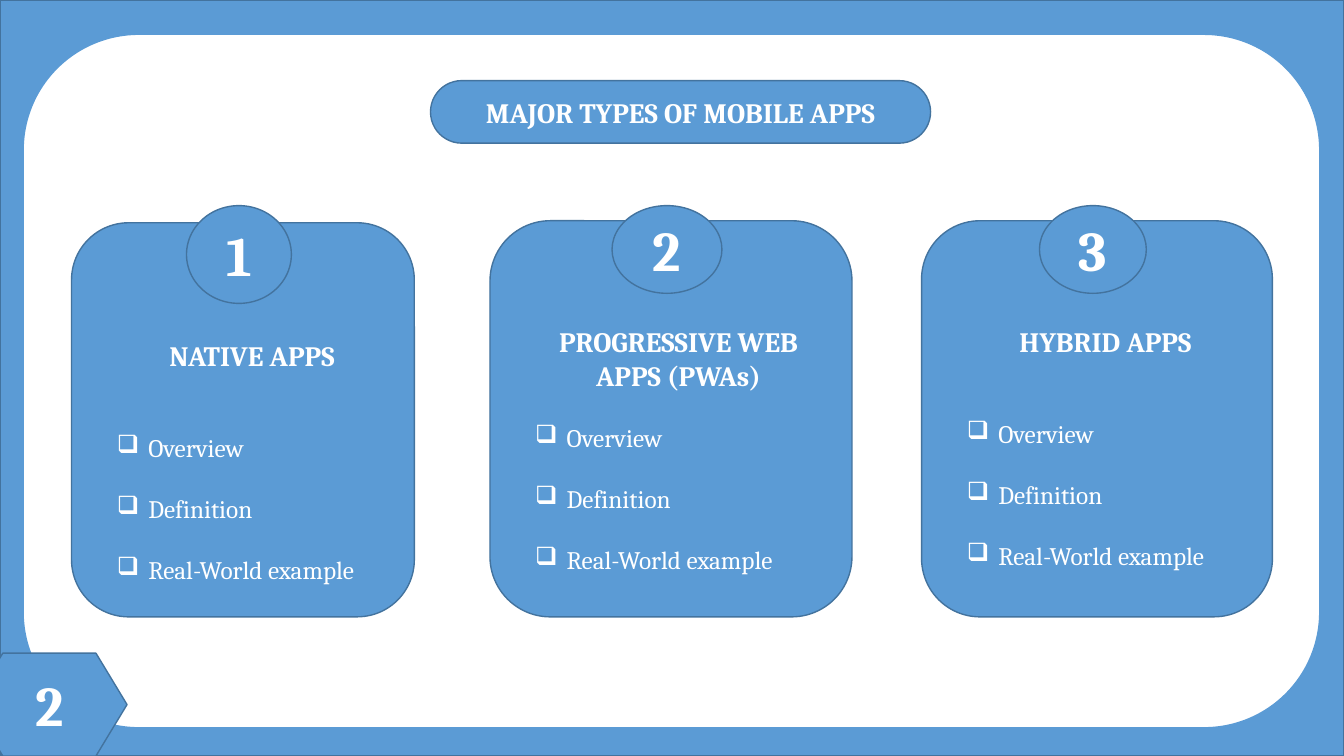
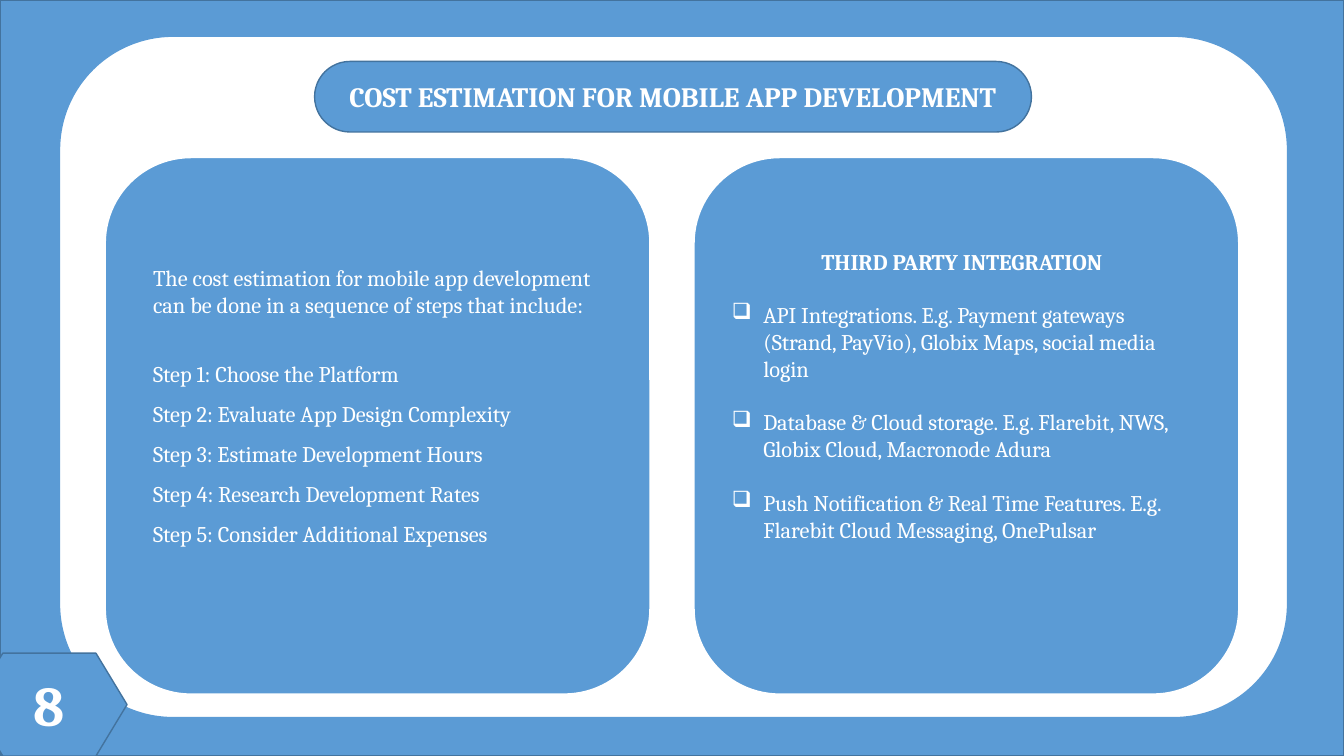
from pptx import Presentation
from pptx import util as u
from pptx.dml.color import RGBColor
from pptx.enum import shapes, text
from lxml import etree

PX = 9144  # EMU per px, 100 px to the inch
SLIDE_W, SLIDE_H = 1333, 750
FONT = "Cambria"
COLORS = {"blue": "5B9BD5", "edge": "43739E", "white": "FFFFFF"}
BULLET_INDENT = 285750
SHAPE = shapes.MSO_SHAPE
CENTER, LEFT = text.PP_ALIGN.CENTER, text.PP_ALIGN.LEFT


def rgb(name):
    return RGBColor.from_string(COLORS[name])


def emu(box):
    return [u.Emu(round(length * PX)) for length in box]


# Shared building parts
def add_panel(slide, kind, box, fill="blue", line="edge", weight=1, corner=None):
    panel = slide.shapes.add_shape(kind, *emu(box))
    panel.shadow.inherit = False
    panel.fill.solid()
    panel.fill.fore_color.rgb = rgb(fill)
    panel.line.color.rgb = rgb(line)
    panel.line.width = u.Pt(weight)
    if corner is not None:
        panel.adjustments[0] = corner
    return panel


def style_line(line, content, size, bold=False, align=LEFT, before=0, bullet=False):
    line.text = content
    line.alignment = align
    line.font.name = FONT
    line.font.size = u.Pt(size)
    line.font.bold = bold
    line.font.color.rgb = rgb("white")
    line.space_before = u.Pt(before)
    if bullet:
        props = line._p.get_or_add_pPr()
        props.set("marL", str(BULLET_INDENT))
        props.set("indent", str(-BULLET_INDENT))
        mark = etree.Element(
            "{http://schemas.openxmlformats.org/drawingml/2006/main}buChar", char="❑")
        props.insert_element_before(mark, "a:tabLst", "a:defRPr", "a:extLst")


def add_label(panel, content, size):
    """Centre one bold line inside a panel."""
    frame = panel.text_frame
    frame.margin_left = frame.margin_right = 0
    frame.margin_top = frame.margin_bottom = 0
    frame.word_wrap = False
    frame.vertical_anchor = text.MSO_ANCHOR.MIDDLE
    style_line(frame.paragraphs[0], content, size, bold=True, align=CENTER)


def add_copy(slide, box, lines):
    """Fill a text box with lines, each a dict of style_line arguments."""
    frame = slide.shapes.add_textbox(*emu(box)).text_frame
    frame.word_wrap = True
    for i, line in enumerate(lines):
        paragraph = frame.add_paragraph() if i else frame.paragraphs[0]
        style_line(paragraph, **line)
    return frame


# Backdrop, page tag and title pill
def start_slide(deck, frame_box, title_box, title, page):
    slide = deck.slides.add_slide(deck.slide_layouts[6])
    add_panel(slide, SHAPE.RECTANGLE, (0, 0, SLIDE_W, SLIDE_H))
    add_panel(slide, SHAPE.ROUNDED_RECTANGLE, frame_box, "white", "blue")
    tag = add_panel(slide, SHAPE.FLOWCHART_PREPARATION, (-28, 648, 154, 102))
    add_label(tag, page, 40)
    pill = add_panel(slide, SHAPE.ROUNDED_RECTANGLE, title_box, corner=0.5)
    add_label(pill, title, 20)
    return slide


# Numbered card with a heading and a checklist
def app_card(slide, box, number, heading, topics, badge_height, copy_drop, list_gap):
    left, top, width, height = box
    add_panel(slide, SHAPE.ROUNDED_RECTANGLE, box)
    badge_width = round(width * 0.305)
    badge_left = left + (width - badge_width) / 2 - 4
    badge = add_panel(slide, SHAPE.OVAL, (badge_left, 204, badge_width, badge_height))
    add_label(badge, number, 40)
    lines = [dict(content=heading, size=20, bold=True, align=CENTER)]
    for i, topic in enumerate(topics):
        lines.append(dict(content=topic, size=18, bullet=True,
                          before=22 if i else list_gap))
    add_copy(slide, (left + 35, top + copy_drop, width * 0.847, 204), lines)


def app_types_slide(deck):
    slide = start_slide(deck, (23, 34, 1286, 688), (427, 80, 496, 62),
                        "MAJOR TYPES OF MOBILE APPS", "2")
    topics = ["Overview", "Definition", "Real-World example"]
    cards = [
        ((71, 221, 340, 391), "NATIVE APPS", 97, 110, 43),
        ((486, 219, 359, 393), "PROGRESSIVE WEB APPS (PWAs)", 87, 98, 22),
        ((914, 219, 348, 393), "HYBRID APPS", 87, 98, 43),
    ]
    for number, (box, heading, badge_height, drop, gap) in enumerate(cards, 1):
        app_card(slide, box, str(number), heading, topics, badge_height, drop, gap)


# Cost columns
def cost_column(slide, box, copy_offset, copy_width, lines):
    left, top, width, height = box
    add_panel(slide, SHAPE.ROUNDED_RECTANGLE, box, line="white", weight=1.5, corner=0.16)
    dx, dy = copy_offset
    return add_copy(slide, (left + dx, top + dy, copy_width, 350), lines)


def cost_slide(deck):
    slide = start_slide(deck, (59, 36, 1218, 676), (312, 61, 711, 70),
                        "COST ESTIMATION FOR MOBILE APP DEVELOPMENT", "8")
    steps = ["Choose the Platform", "Evaluate App Design Complexity",
             "Estimate Development Hours", "Research Development Rates",
             "Consider Additional Expenses"]
    step_lines = [dict(size=16, content="The cost estimation for mobile app development "
                       "can be done in a sequence of steps that include:")]
    for number, step in enumerate(steps, 1):
        step_lines.append(dict(content=f"Step {number}: {step}", size=16,
                               before=29 if number == 1 else 8))
    sequence = cost_column(slide, (104, 156, 541, 533), (38, 101), 466, step_lines)
    for line in sequence.paragraphs[1:]:
        line.line_spacing = 1.07

    services = [
        "API Integrations. E.g. Payment gateways (Strand, PayVio), Globix Maps, "
        "social media login",
        "Database & Cloud storage. E.g. Flarebit, NWS, Globix Cloud, Macronode Adura",
        "Push Notification & Real Time Features. E.g. Flarebit Cloud Messaging, OnePulsar",
    ]
    service_lines = [dict(content="THIRD PARTY INTEGRATION", size=16, bold=True,
                          align=CENTER)]
    service_lines += [dict(content=service, size=16, before=19, bullet=True)
                      for service in services]
    cost_column(slide, (688, 156, 541, 533), (28, 85), 476, service_lines)


def main():
    deck = Presentation()
    deck.slide_width, deck.slide_height = emu((SLIDE_W, SLIDE_H))
    app_types_slide(deck)
    cost_slide(deck)
    deck.save("out.pptx")


if __name__ == "__main__":
    main()
